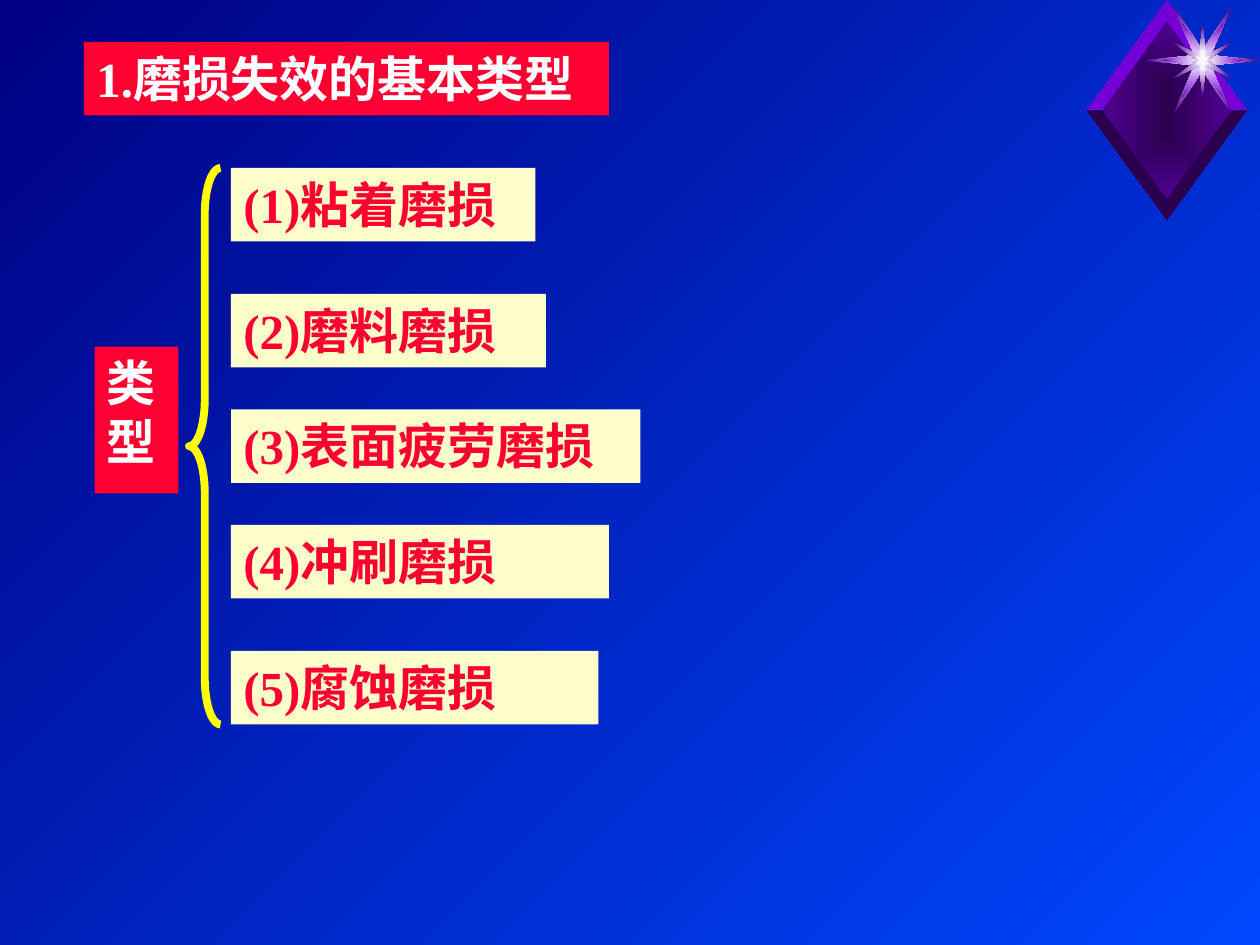
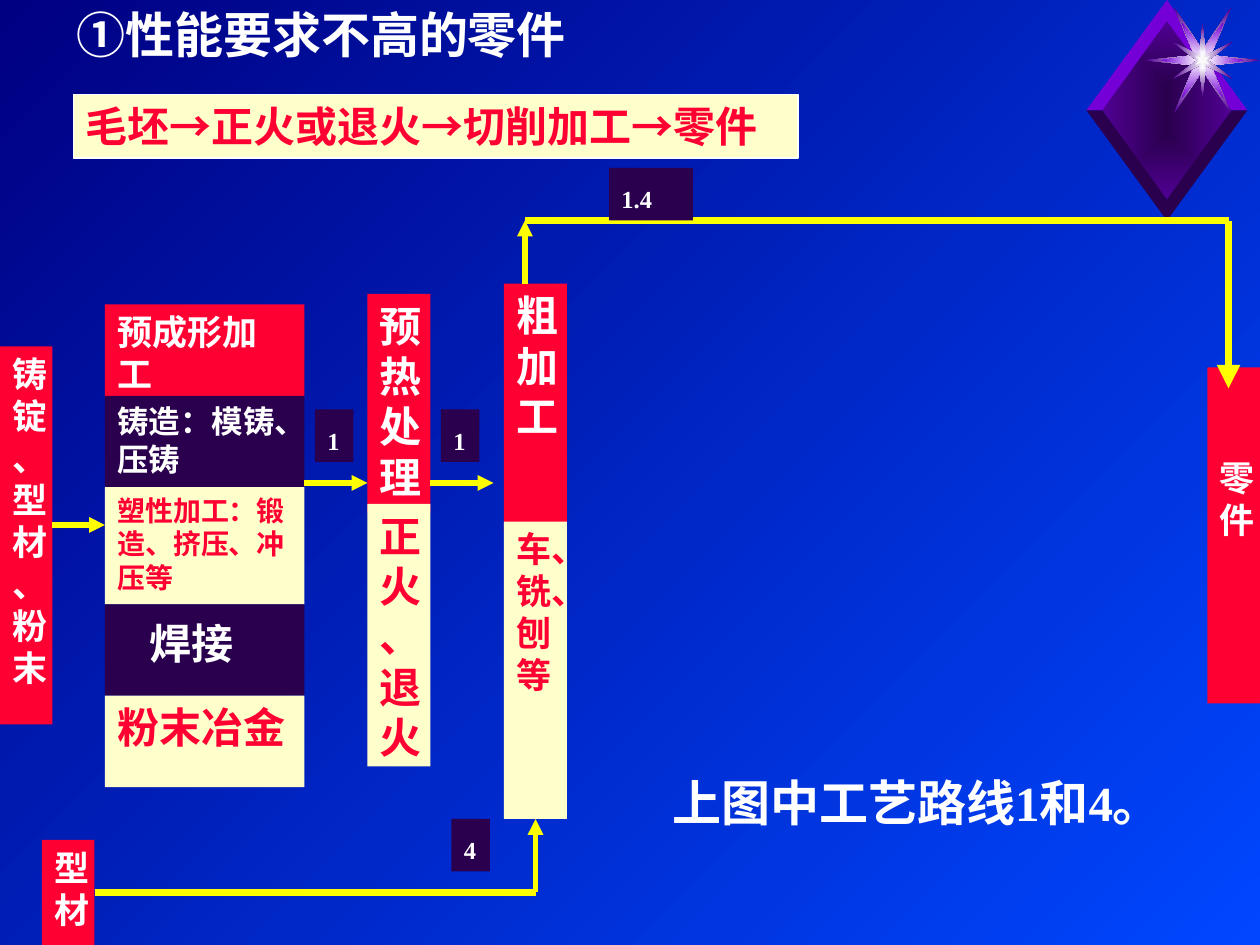
from dataclasses import dataclass

from lxml import etree
from pptx import Presentation
from pptx.dml.color import RGBColor
from pptx.enum.lang import MSO_LANGUAGE_ID
from pptx.enum.shapes import MSO_CONNECTOR, MSO_SHAPE
from pptx.enum.text import MSO_ANCHOR, PP_ALIGN
from pptx.oxml.ns import qn
from pptx.util import Pt

RECT = MSO_SHAPE.RECTANGLE
BRACE = MSO_SHAPE.LEFT_BRACE
LINE = MSO_CONNECTOR.STRAIGHT
TOP = MSO_ANCHOR.TOP
LEFT = PP_ALIGN.LEFT
CHINESE = MSO_LANGUAGE_ID.SIMPLIFIED_CHINESE


@dataclass(frozen=True)
class Theme:
    font: str = "Times New Roman"
    white: str = "FFFFFF"
    red: str = "FF0033"
    cream: str = "FFFFCC"
    dark: str = "2A004E"
    plum: str = "500093"
    violet: str = "7500D7"
    glint: str = "F9F9F9"
    yellow: str = "FFFF00"
    blue: str = "0047FF"
    navy: str = "000082"
    head: int = 28
    large: int = 24
    mid: int = 20
    body: int = 18
    small: int = 16
    tag: int = 14
    thin: float = 3
    thick: float = 4.5


T = Theme()
INK = {T.red: T.white, T.dark: T.white, T.cream: T.red, None: T.white}


def rgb(code):
    return RGBColor.from_string(code)


def blend(fill, first, last):
    fill.gradient()
    for stop, code in zip(fill.gradient_stops, (first, last)):
        stop.color.rgb = rgb(code)


def glow(shape, first, last):
    blend(shape.fill, first, last)
    grad = shape._element.spPr.find(qn("a:gradFill"))
    grad.remove(grad.find(qn("a:lin")))
    way = etree.SubElement(grad, qn("a:path"), {"path": "rect"})
    sides = dict.fromkeys("ltrb", "50000")
    etree.SubElement(way, qn("a:fillToRect"), sides)


def write(shape, text, size, ink, dx=0, dy=0, gap=None):
    frame = shape.text_frame
    frame.word_wrap = True
    frame.vertical_anchor = TOP
    frame.margin_left, frame.margin_right = Pt(7.2 + dx), Pt(7.2)
    frame.margin_top, frame.margin_bottom = Pt(3.6 + dy), Pt(3.6)
    para = frame.paragraphs[0]
    para.alignment = LEFT
    if gap:
        para.line_spacing = gap
    run = para.add_run()
    run.text = text
    font = run.font
    font.name, font.size, font.bold = T.font, Pt(size), True
    font.language_id = CHINESE
    font.color.rgb = rgb(ink)


def box(slide, text, area, fill, size, **extra):
    shape = slide.shapes.add_shape(RECT, *map(Pt, area))
    shape.shadow.inherit = False
    shape.fill.solid()
    shape.fill.fore_color.rgb = rgb(fill)
    shape.line.fill.background()
    write(shape, text, size, INK[fill], **extra)
    return shape


def label(slide, text, area):
    write(slide.shapes.add_textbox(*map(Pt, area)), text, T.head, INK[None])


def tag(slide, text, left, top, width=22):
    box(slide, text, (left, top, width, 30), T.dark, T.tag, gap=1.35)


def link(slide, start, end, width=T.thin, arrow=True):
    line = slide.shapes.add_connector(LINE, *map(Pt, start + end))
    line.line.color.rgb = rgb(T.yellow)
    line.line.width = Pt(width)
    if arrow:
        ends = {"type": "triangle"}
        etree.SubElement(line.line._get_or_add_ln(), qn("a:tailEnd"), ends)
    etree.SubElement(line._element.spPr, qn("a:effectLst"))


def patch(slide, points, first, last=None):
    points = [(Pt(x), Pt(y)) for x, y in points]
    build = slide.shapes.build_freeform(*points[0])
    build.add_line_segments(points[1:])
    shape = build.convert_to_shape()
    shape.shadow.inherit = False
    shape.line.fill.background()
    if last:
        glow(shape, first, last)
    else:
        shape.fill.solid()
        shape.fill.fore_color.rgb = rgb(first)


def star(slide, arc, first, last=None):
    x, y = 687.2, 34.5
    right = arc + [(a, -b) for a, b in arc[-2::-1]]
    left = [(-a, b) for a, b in right[-2:0:-1]]
    patch(slide, [(x + a, y - b) for a, b in right + left], first, last)


def gem(slide):
    x, y = 666.8, 63
    wide, high, inner, core = 46, 63, 37, 51
    face = [(x, y - core), (x - inner, y), (x, y + core), (x + inner, y)]
    patch(slide, face, T.dark, T.plum)
    for up, code in ((-1, T.violet), (1, T.dark)):
        for side in (1, -1):
            rim = [(x, y + up * high), (x + side * wide, y),
                   (x + side * inner, y), (x, y + up * core)]
            patch(slide, rim, code)
    star(slide, [(0, 5.8), (16.2, 30.1), (4.7, 2.9), (32.7, 0)],
         T.white, T.plum)
    star(slide, [(0, 5.8), (11.9, 21.6), (4.7, 2.9), (23.8, 0)],
         T.white, T.violet)
    star(slide, [(0, 20.9), (1.8, 2.9), (16.9, 10.4), (3.2, 0)],
         T.white, T.plum)
    star(slide, [(0, 5), (1, 1.4), (4, 2.5), (2, 0)], T.glint)


def page(deck):
    slide = deck.slides.add_slide(deck.slide_layouts[6])
    fill = slide.background.fill
    blend(fill, T.blue, T.navy)
    fill.gradient_angle = 135
    gem(slide)
    return slide


def wear(deck):
    slide = page(deck)
    box(slide, "1.磨损失效的基本类型", (48, 24, 300, 42), T.red, T.head)
    box(slide, "类型", (54, 198, 48, 84), T.red, T.head)
    brace = slide.shapes.add_shape(BRACE, *map(Pt, (108, 96, 18, 318)))
    brace.shadow.inherit = False
    brace.fill.background()
    brace.line.color.rgb = rgb(T.yellow)
    brace.line.width = Pt(T.thick)
    brace.adjustments[0] = 1.47
    kinds = [("粘着磨损", 96, 174), ("磨料磨损", 168, 180),
             ("表面疲劳磨损", 234, 234), ("冲刷磨损", 300, 216),
             ("腐蚀磨损", 372, 210)]
    for num, (name, top, width) in enumerate(kinds, 1):
        box(slide, f"({num}){name}", (132, top, width, 42), T.cream, T.head)


def forming(slide):
    steps = [("预成形加工", 52.2, T.red, T.mid, {}),
             ("铸造：模铸、压铸", 52.2, T.dark, T.body, {}),
             ("塑性加工：锻造、挤压、冲压等", 67, T.cream, T.small, {}),
             ("焊接", 52.2, T.dark, T.large, {"dx": 18.5, "dy": 4}),
             ("粉末冶金", 52.2, T.cream, T.large, {})]
    top = 174
    for text, height, fill, size, extra in steps:
        box(slide, text, (60, top, 114, height), fill, size, **extra)
        top += height


def route(deck):
    slide = page(deck)
    label(slide, "①性能要求不高的零件", (36.7, -1.2, 310, 41))
    chain = box(slide, "毛坯→正火或退火→切削加工→零件",
                (42, 54, 414, 36.5), T.cream, T.large)
    chain.line.color.rgb = rgb(T.white)
    chain.line.width = Pt(1)
    label(slide, "上图中工艺路线1和4。", (377.3, 438, 335, 41))

    box(slide, "铸锭、型材、粉末", (0, 198, 30, 216), T.red, T.mid)
    link(slide, (30, 300), (60, 300))
    forming(slide)

    box(slide, "预热处理", (210, 168, 36, 125), T.red, T.large)
    box(slide, "正火、退火", (210, 288, 36, 150), T.cream, T.large)
    box(slide, "粗加工", (288, 162, 36, 142), T.red, T.large)
    box(slide, "车、铣、刨等", (288, 298, 36, 170), T.cream, T.mid)
    for left, span in ((174, 36), (246, 36)):
        link(slide, (left, 276), (left + span, 276))
        tag(slide, "1", left + 6, 234)

    box(slide, "型材", (24, 480, 30, 60), T.red, T.mid)
    link(slide, (54, 510), (306, 510), T.thick, False)
    link(slide, (306, 510), (306, 468))
    tag(slide, "4", 258, 468)

    box(slide, "零件", (690, 210, 30, 192), T.red, T.mid, dy=47)
    link(slide, (300, 162), (300, 126))
    link(slide, (300, 126), (702, 126), T.thick, False)
    link(slide, (702, 126), (702, 222), T.thick)
    tag(slide, "1.4", 348, 96, 48)


def main():
    deck = Presentation()
    deck.slide_width, deck.slide_height = Pt(720), Pt(540)
    wear(deck)
    route(deck)
    deck.save("out.pptx")


if __name__ == "__main__":
    main()
